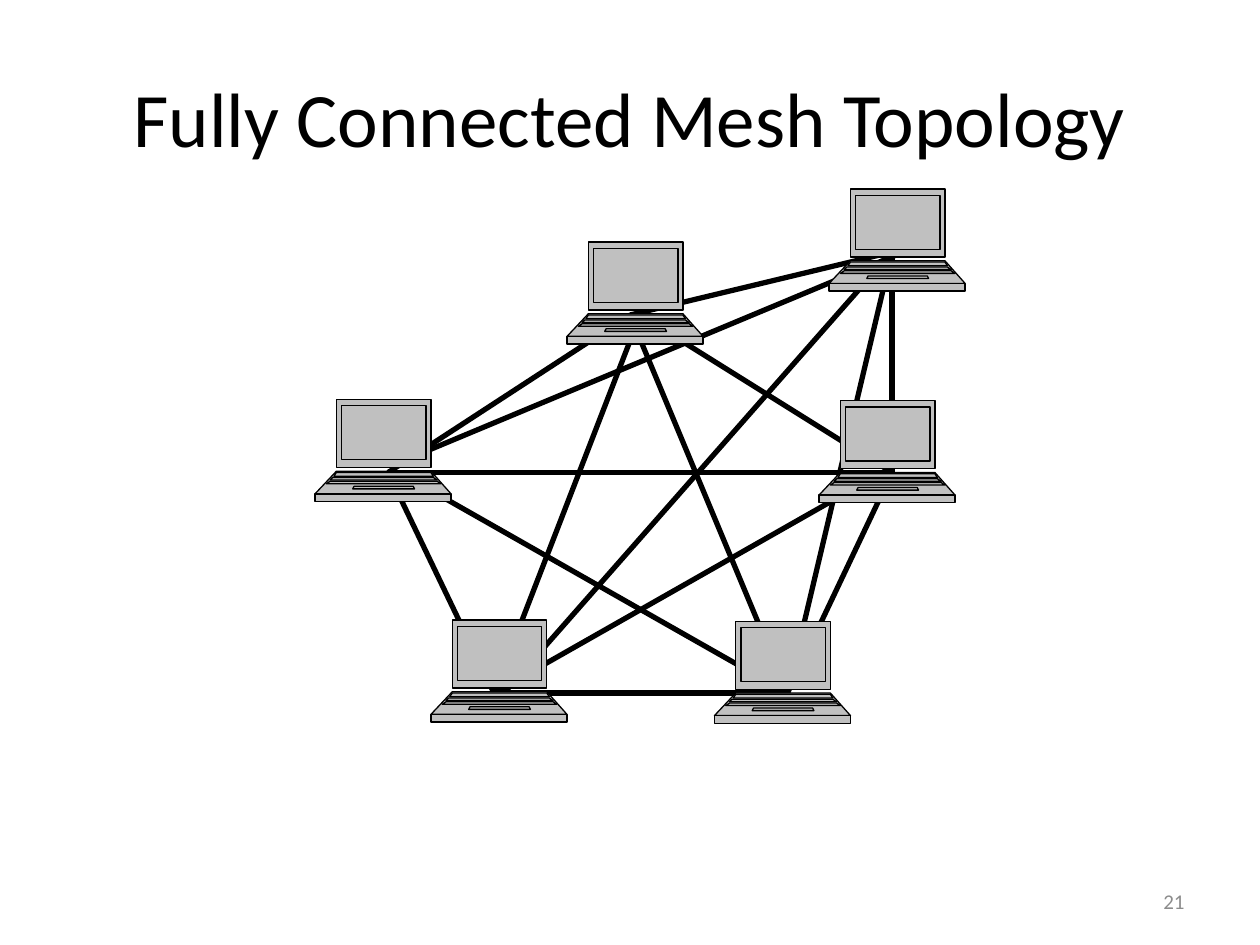
from dataclasses import dataclass
from itertools import combinations

from lxml.etree import SubElement
from pptx import Presentation
from pptx.dml.color import RGBColor as RGB
from pptx.enum.shapes import MSO_CONNECTOR as Conn
from pptx.enum.text import MSO_ANCHOR as Anchor, PP_ALIGN as Align
from pptx.oxml.ns import qn
from pptx.util import Pt

PX = 9144  # EMU in one px, 100 px to the inch


@dataclass(frozen=True)
class Theme:
    font: str = "Calibri"
    ink: RGB = RGB(0, 0, 0)
    mute: RGB = RGB(0x8C, 0x8C, 0x8C)
    case: RGB = RGB(0xC0, 0xC0, 0xC0)
    title: int = 44
    small: int = 12
    cable: float = 3
    edge: float = 0.75


THEME = Theme()

# Each part of a laptop: top left x, top right x, top y, bottom left x, bottom right x, bottom y
PARTS = [
    (17, 92, 0, 17, 92, 54),     # lid
    (17, 92, 57, 0, 108, 75),    # deck
    (0, 108, 75, 0, 108, 81),    # front edge
    (21, 88, 5, 21, 88, 48),     # screen
    (17, 92, 58, 15, 94, 61),    # key row
    (31, 78, 69, 30, 79, 71),    # touch pad
    (14, 94, 62, 12, 97, 64),    # key row
    (12, 97, 65, 9, 100, 67),    # key row
]

# Laptop corners, relative to the mesh box, in drawing order
NODES = {
    "west": (0, 167),
    "south": (92, 342),
    "north": (200, 42),
    "dock": (317, 343),
    "east": (400, 168),
    "far": (408, 0),
}

# Where cables meet, relative to the mesh box
HUBS = {
    "west": (58, 225),
    "south": (142, 400),
    "north": (250, 100),
    "dock": (375, 400),
    "east": (458, 225),
    "far": (458, 50),
}

# Small shifts of the two cable ends, for pairs in the order of HUBS
SHIFTS = {
    ("west", "far"): ((9, -8), (9, 0)),
    ("south", "far"): ((8, 0), (0, 0)),
    ("north", "east"): ((8, 0), (0, 0)),
    ("south", "east"): ((0, 0), (-8, 0)),
    ("west", "dock"): ((9, 0), (0, 0)),
    ("south", "north"): ((0, 0), (8, 0)),
}


def add_text(slide, box, text, size, color, align):
    shape = slide.shapes.add_textbox(*(n * PX for n in box))
    frame = shape.text_frame
    frame.word_wrap = True
    frame.vertical_anchor = Anchor.MIDDLE
    para = frame.paragraphs[0]
    para.alignment = align
    run = para.add_run()
    run.text = text
    run.font.name = THEME.font
    run.font.size = Pt(size)
    run.font.color.rgb = color


def add_cable(group, start, end):
    cable = group.shapes.add_connector(
        Conn.STRAIGHT, *(n * PX for n in (*start, *end)))
    cable.line.color.rgb = THEME.ink
    cable.line.width = Pt(THEME.cable)
    SubElement(cable.element.spPr, qn("a:effectLst"))


def split_parts(shape):
    """Give each outline its own path, so that overlaps stay filled."""
    whole = shape.element.find(".//" + qn("a:path"))
    holder = whole.getparent()
    for step in list(whole):
        if step.tag == qn("a:moveTo"):
            part = SubElement(holder, qn("a:path"), dict(whole.attrib))
        part.append(step)
    holder.remove(whole)


def add_laptop(slide, x, y):
    pen = slide.shapes.build_freeform(x + PARTS[0][0], y + PARTS[0][2], scale=PX)
    for i, (tl, tr, top, bl, br, low) in enumerate(PARTS):
        if i:
            pen.move_to(x + tl, y + top)
        pen.add_line_segments(
            [(x + bl, y + low), (x + br, y + low), (x + tr, y + top)], close=True)
    shape = pen.convert_to_shape()
    split_parts(shape)
    shape.shadow.inherit = False
    shape.fill.solid()
    shape.fill.fore_color.rgb = THEME.case
    shape.line.color.rgb = THEME.ink
    shape.line.width = Pt(THEME.edge)


def add_links(slide, x, y, pairs):
    group = slide.shapes.add_group_shape()
    for pair in pairs:
        shifts = SHIFTS.get(pair, ((0, 0), (0, 0)))
        ends = [(x + HUBS[name][0] + dx, y + HUBS[name][1] + dy)
                for name, (dx, dy) in zip(pair, shifts)]
        add_cable(group, *ends)


def add_mesh(slide, x, y):
    """Link every pair of laptops, then draw the laptops on top."""
    pairs = list(combinations(HUBS, 2))
    add_links(slide, x, y, [p for p in pairs if "far" in p])
    add_links(slide, x, y, [p for p in pairs if "far" not in p])
    for dx, dy in NODES.values():
        add_laptop(slide, x + dx, y + dy)


def main():
    deck = Presentation()
    deck.slide_width, deck.slide_height = 1000 * PX, 750 * PX
    slide = deck.slides.add_slide(deck.slide_layouts[6])
    add_text(slide, (717, 695, 233, 40), "21",
             THEME.small, THEME.mute, Align.RIGHT)
    add_text(slide, (50, 30, 900, 125), "Fully Connected Mesh Topology",
             THEME.title, THEME.ink, Align.CENTER)
    add_mesh(slide, 250, 150)
    deck.save("out.pptx")


if __name__ == "__main__":
    main()
